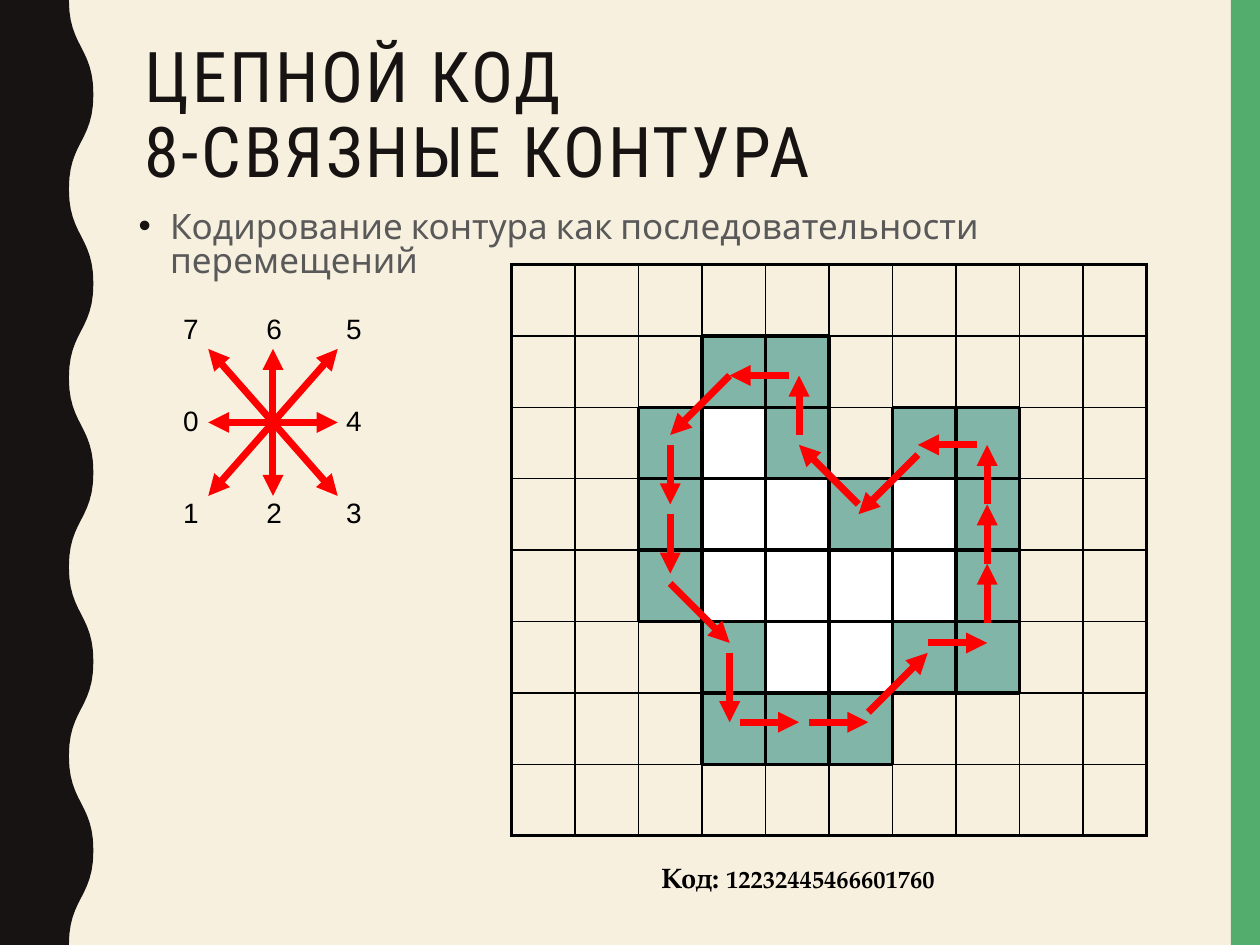
"""Builds a slide on the chain code of 8-connected contours."""
from lxml import etree
from pptx import Presentation
from pptx.dml.color import RGBColor
from pptx.enum.shapes import MSO_CONNECTOR, MSO_SHAPE
from pptx.enum.text import MSO_ANCHOR, MSO_AUTO_SIZE, PP_ALIGN
from pptx.oxml.ns import qn
from pptx.util import Pt

LEFT, CENTER = PP_ALIGN.LEFT, PP_ALIGN.CENTER
TOP, MIDDLE = MSO_ANCHOR.TOP, MSO_ANCHOR.MIDDLE
STRAIGHT, RECT = MSO_CONNECTOR.STRAIGHT, MSO_SHAPE.RECTANGLE
NO_FIT = MSO_AUTO_SIZE.NONE

HUES = {
    "page": "F7F0DF", "bar": "53AE6E", "dark": "171312", "gray": "595959",
    "ink": "000000", "edge": "81B5A8", "core": "FFFFFF", "arrow": "FF0000",
}
TITLE = "ЦЕПНОЙ КОД \n8-СВЯЗНЫЕ КОНТУРА"
BODY = "Кодирование контура как последовательности перемещений"
CODE = "12232445466601760"
MOVES = {
    "0": (-1, 0), "1": (-1, 1), "2": (0, 1), "3": (1, 1),
    "4": (1, 0), "5": (1, -1), "6": (0, -1), "7": (-1, -1),
}
GRID = [
    "..........",
    "...ee.....",
    "..ece.ee..",
    "..eccece..",
    "..ecccce..",
    "...eccee..",
    "...eee....",
    "..........",
]
KINDS = {"e": "edge", "c": "core"}
STARTS = [
    (6, 0, 6), (0, 7, 6), (0, 14, 6), (0, 21, 6), (6, 28, 7), (7, 35, 6),
    (14, 35, 6), (20, 34, 6), (26, 27, 6), (32, 25, 6), (32, 19, 6),
    (32, 13, 6), (31, 7, 6), (25, 8, 6), (19, 13, 6), (13, 6, 6), (12, 0, 6),
]
UNIT, PATH_X, PATH_Y = 5.66, 383, 214.6
HUB_X, HUB_Y, RAY_X, RAY_Y = 156, 241.4, 37, 42
THIN, THICK = 1, 2.25


def tint(name):
    return RGBColor.from_string(HUES[name])


def put(frame, runs, font, hue="ink", bold=False, align=LEFT, anchor=TOP,
        lead=None, track=0, bullet=None):
    frame.word_wrap = True
    frame.vertical_anchor = anchor
    para = frame.paragraphs[0]
    if bullet:
        props = para._p.get_or_add_pPr()
        props.set("marL", str(Pt(18)))
        props.set("indent", str(-Pt(18)))
        color = etree.SubElement(props, qn("a:buClr"))
        etree.SubElement(color, qn("a:srgbClr"), val=HUES["dark"])
        etree.SubElement(props, qn("a:buFont"), typeface="Arial")
        etree.SubElement(props, qn("a:buChar"), char=bullet)
    para.alignment = align
    para.space_before = Pt(0)
    if lead:
        para.line_spacing = lead
    for text, size in runs:
        for row, line in enumerate(text.split("\n")):
            if row:
                para.add_line_break()
            run = para.add_run()
            run.text = line
            run.font.name, run.font.size, run.font.bold = font, Pt(size), bold
            run.font.color.rgb = tint(hue)
            if track:
                run._r.get_or_add_rPr().set("spc", str(track))


def place(shape, left, top, width, height):
    shape.left, shape.top = Pt(left), Pt(top)
    shape.width, shape.height = Pt(width), Pt(height)
    shape.text_frame.auto_size = NO_FIT
    return shape.text_frame


def paint(shape, hue):
    shape.shadow.inherit = False
    shape.fill.solid()
    shape.fill.fore_color.rgb = tint(hue)
    shape.line.fill.background()


def arrow(group, x, y, to_x, to_y):
    line = group.shapes.add_connector(STRAIGHT, Pt(x), Pt(y), Pt(to_x), Pt(to_y))
    line.line.color.rgb = tint("arrow")
    line.line.width = Pt(4)
    etree.SubElement(line.line._get_or_add_ln(), qn("a:tailEnd"), type="triangle")
    etree.SubElement(line._element.spPr, qn("a:effectLst"))


def border(cell, sides):
    props = cell._tc.get_or_add_tcPr()
    for side, width in zip("LRTB", sides):
        line = etree.SubElement(props, qn("a:ln" + side), w=str(Pt(width)))
        if width:
            fill = etree.SubElement(line, qn("a:solidFill"))
            etree.SubElement(fill, qn("a:srgbClr"), val=HUES["ink"])
        else:
            etree.SubElement(line, qn("a:noFill"))


def table(slide, left, top, widths, tall, count):
    frame = slide.shapes.add_table(count, len(widths), Pt(left), Pt(top),
                                   Pt(sum(widths)), Pt(tall * count))
    grid = frame.table
    grid.first_row = grid.horz_banding = False
    for col, width in zip(grid.columns, widths):
        col.width = Pt(width)
    for row in grid.rows:
        row.height = Pt(tall)
    for cell in grid.iter_cells():
        cell.margin_left = cell.margin_right = 0
        cell.margin_top = cell.margin_bottom = 0
    return grid


def weight(row, col, near_row, near_col):
    inside = 0 <= near_row < len(GRID) and 0 <= near_col < len(GRID[0])
    if not inside or GRID[row][col] != "." or GRID[near_row][near_col] != ".":
        return THICK
    return THIN


def contour(slide):
    grid = table(slide, 292.3, 151.2, [36.29] * 10, 40.8, len(GRID))
    for r, line in enumerate(GRID):
        for c, mark in enumerate(line):
            cell = grid.cell(r, c)
            near = [(r, c - 1), (r, c + 1), (r - 1, c), (r + 1, c)]
            border(cell, [weight(r, c, *spot) for spot in near])
            if mark in KINDS:
                cell.fill.solid()
                cell.fill.fore_color.rgb = tint(KINDS[mark])
            else:
                cell.fill.background()


def compass(slide):
    grid = table(slide, 97.2, 175, [23.8, 23.8, 23.8, 20, 27.4], 26.4, 5)
    for cell in grid.iter_cells():
        border(cell, [0] * 4)
        cell.fill.background()
    group = slide.shapes.add_group_shape()
    for digit, (dx, dy) in MOVES.items():
        cell = grid.cell(2 + 2 * dy, 2 + 2 * dx)
        put(cell.text_frame, [(digit, 16)], "Arial", align=CENTER)
        cell.vertical_anchor = MIDDLE
        arrow(group, HUB_X, HUB_Y, HUB_X + RAY_X * dx, HUB_Y + RAY_Y * dy)


def trace(slide):
    group = slide.shapes.add_group_shape()
    for digit, (col, row, size) in zip(CODE, STARTS):
        dx, dy = MOVES[digit]
        x, y = PATH_X + UNIT * col, PATH_Y + UNIT * row
        arrow(group, x, y, x + UNIT * size * dx, y + UNIT * size * dy)


def wave(slide):
    pts = []
    for half in range(10):
        for step in range(1, 13):
            t = step / 12
            ease = 3 * t ** 2 - 2 * t ** 3
            x = 39.4 + 14 * (1 - ease if half % 2 else ease)
            y = 54 * (half + 1.5 * t * (1 - t) + t ** 3)
            pts.append((Pt(x), Pt(y)))
    pen = slide.shapes.build_freeform(Pt(39.4), 0)
    pen.add_line_segments(pts + [(0, Pt(540)), (0, 0)], close=True)
    paint(pen.convert_to_shape(), "dark")


def main():
    deck = Presentation()
    deck.slide_width, deck.slide_height = Pt(720), Pt(540)
    slide = deck.slides.add_slide(deck.slide_layouts[1])
    slide.background.fill.solid()
    slide.background.fill.fore_color.rgb = tint("page")
    paint(slide.shapes.add_shape(RECT, Pt(703.4), 0, Pt(16.6), Pt(540)), "bar")
    wave(slide)
    title = place(slide.shapes.title, 75.6, 20.2, 648, 105.8)
    put(title, [(TITLE, 40)], "Roboto Condensed", hue="dark", lead=0.9, track=150)
    body = place(slide.placeholders[1], 72, 118, 601, 283)
    put(body, [(BODY, 20)], "Cabin", hue="gray", lead=0.8, bullet="•")
    note = place(slide.shapes.add_textbox(0, 0, 0, 0), 322.6, 488.2, 267, 51.8)
    put(note, [("Код: ", 16), (CODE, 14)], "TeX Gyre Pagella", bold=True, align=CENTER)
    contour(slide)
    compass(slide)
    trace(slide)
    deck.save("out.pptx")


if __name__ == "__main__":
    main()
